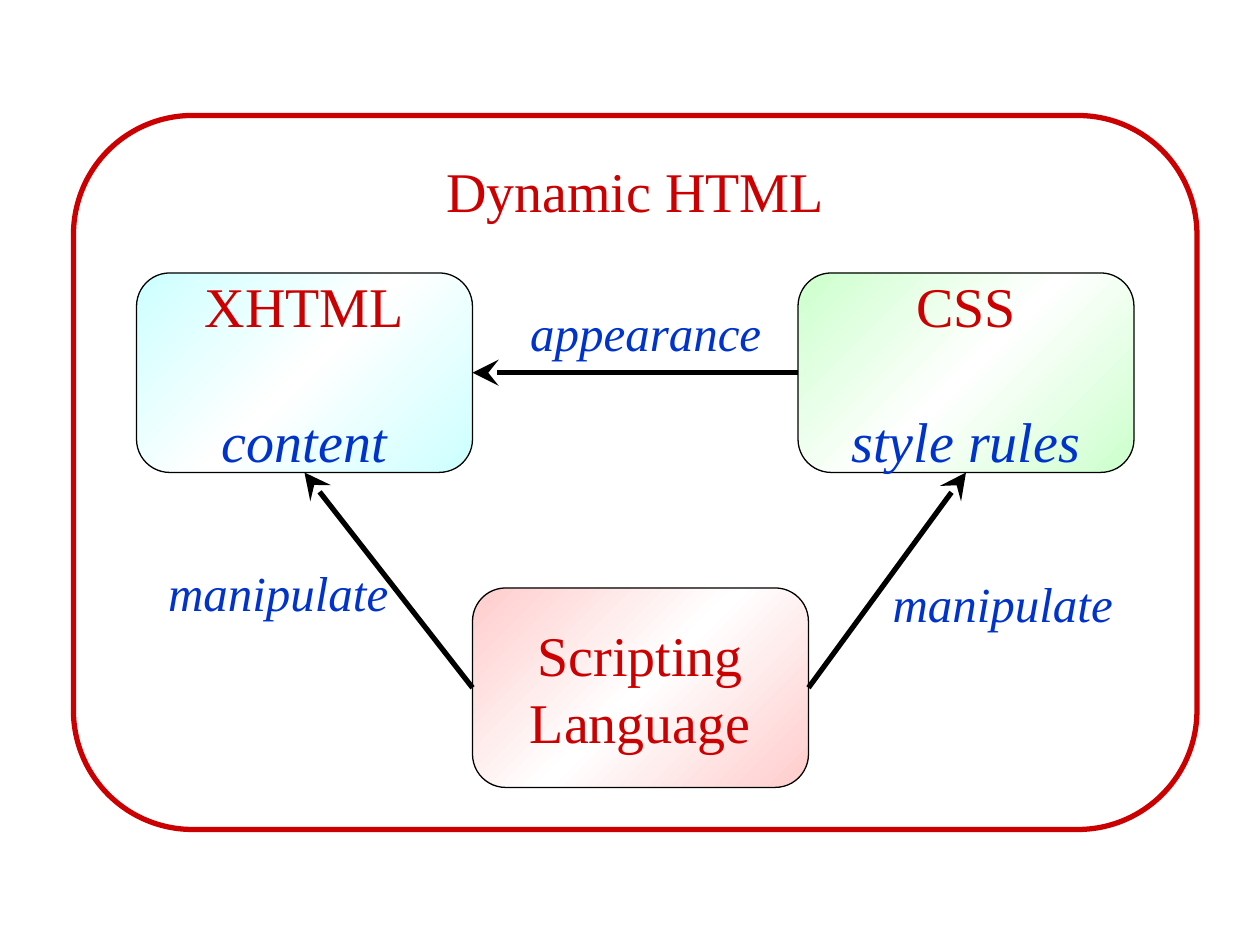
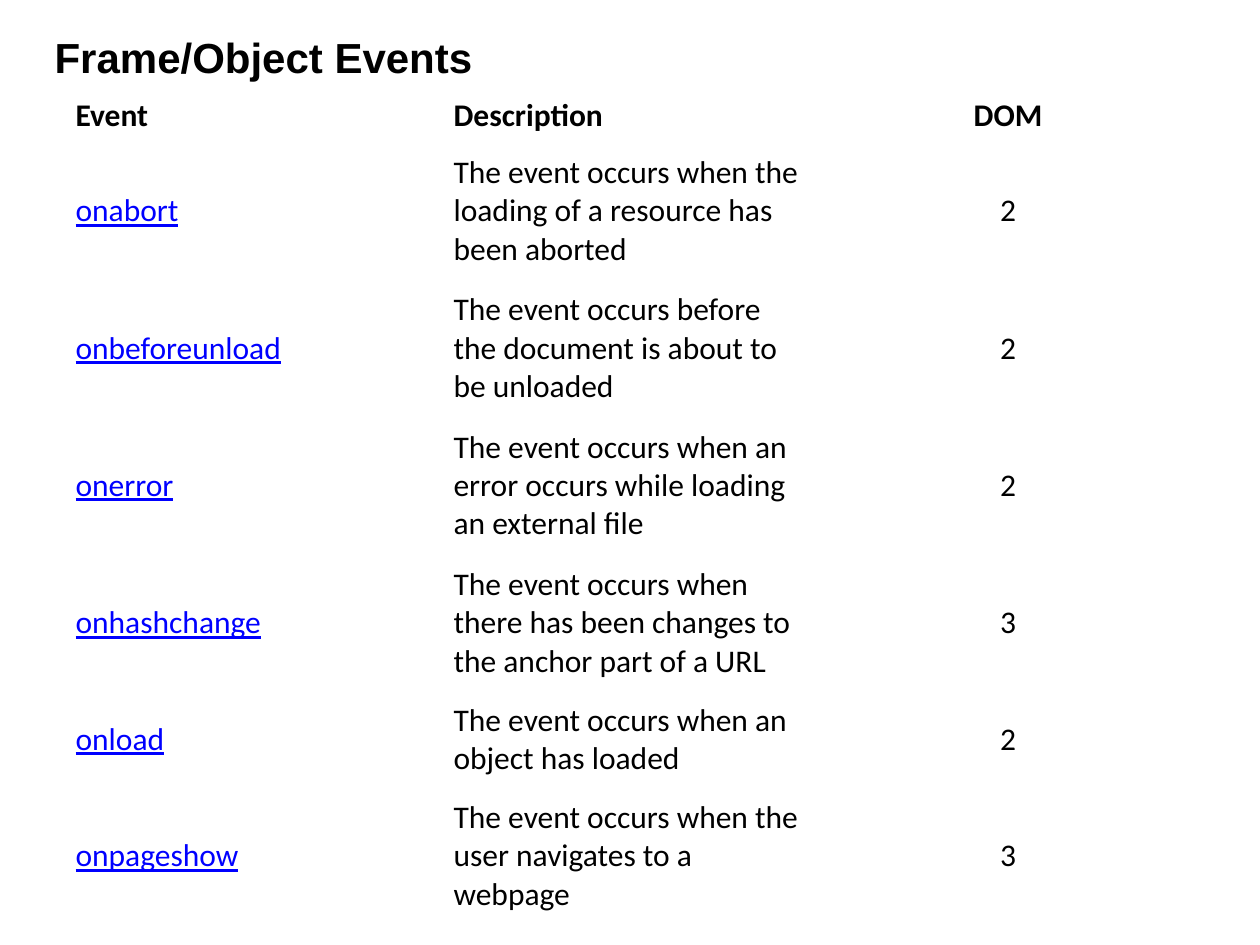
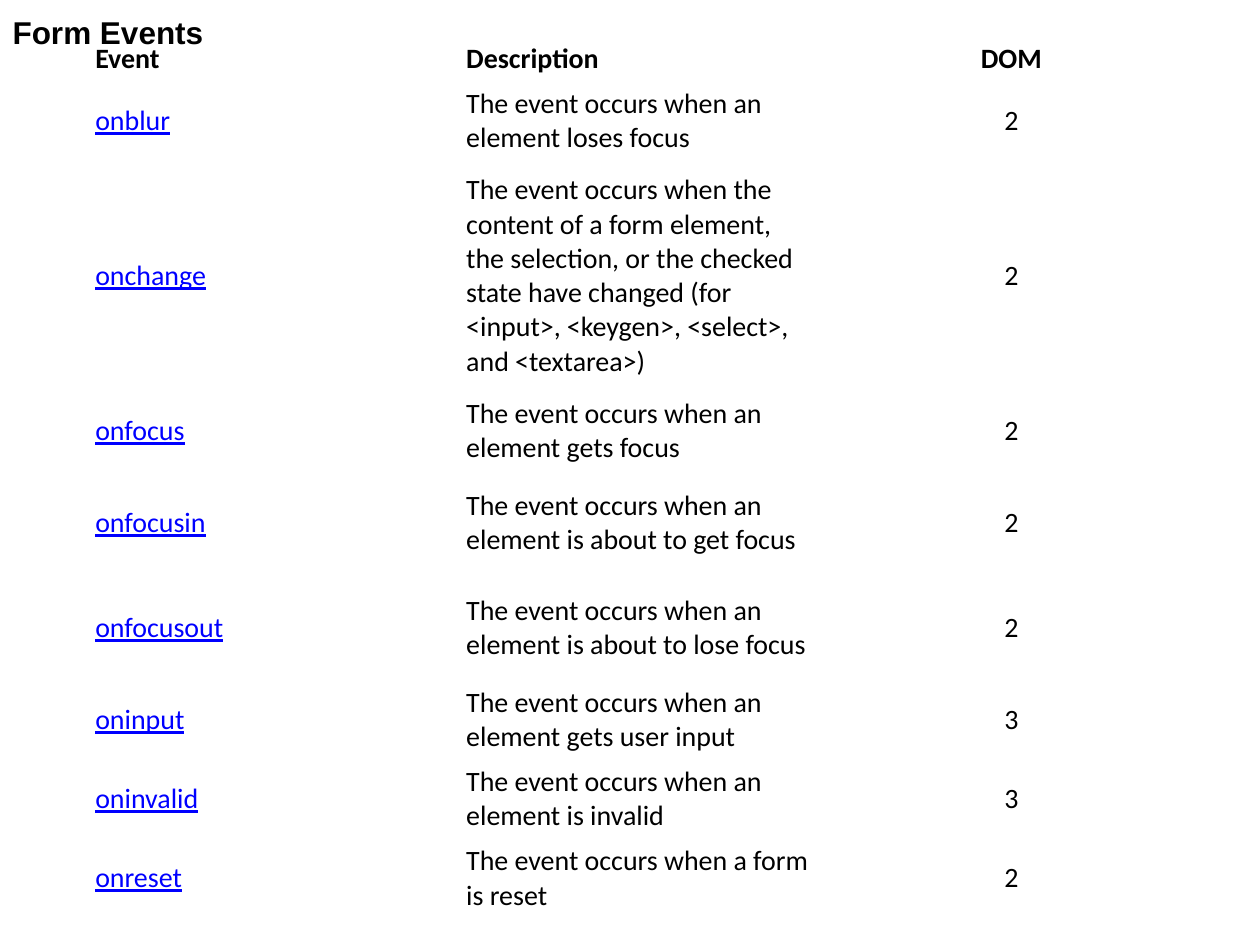
import lxml.etree
import pptx
import pptx.dml.color
import pptx.enum.shapes
import pptx.enum.text
import pptx.oxml.ns
import pptx.util

UNIT = pptx.util.Inches(1) / 12
COLUMNS, ROWS = 120, 90
BLACK, RED, BLUE, LINK = "000000", "CC0000", "0033CC", "0000FF"
NO_GRID_STYLE = "{2D5ABB26-0587-4C30-8999-92F81FD0307C}"
ALIGN = pptx.enum.text.PP_ALIGN
ANCHOR = pptx.enum.text.MSO_ANCHOR
HEADING = {"name": "Times New Roman", "size": pptx.util.Pt(32), "color": RED}
CONTENT = {**HEADING, "color": BLUE, "italic": True}
LABEL = {**CONTENT, "size": pptx.util.Pt(28)}
TITLE = {"name": "Arial", "bold": True, "color": BLACK}
CELL = {"name": "Calibri", "bold": False, "color": BLACK}

FRAME_EVENTS = [
    ("Event", "Description", "DOM"),
    ("onabort", "The event occurs when the loading of a resource has been aborted", "2"),
    ("onbeforeunload", "The event occurs before the document is about to be unloaded", "2"),
    ("onerror", "The event occurs when an error occurs while loading an external file", "2"),
    ("onhashchange", "The event occurs when there has been changes to the anchor part of a URL", "3"),
    ("onload", "The event occurs when an object has loaded", "2"),
    ("onpageshow", "The event occurs when the user navigates to a webpage", "3"),
]
FORM_EVENTS = [
    ("Event", "Description", "DOM"),
    ("onblur", "The event occurs when an element loses focus", "2"),
    ("onchange", "The event occurs when the content of a form element, the selection, or the checked "
     "state have changed (for <input>, <keygen>, <select>, and <textarea>)", "2"),
    ("onfocus", "The event occurs when an element gets focus", "2"),
    ("onfocusin", "The event occurs when an element is about to get focus", "2"),
    ("onfocusout", "The event occurs when an element is about to lose focus", "2"),
    ("oninput", "The event occurs when an element gets user input", "3"),
    ("oninvalid", "The event occurs when an element is invalid", "3"),
    ("onreset", "The event occurs when a form is reset", "2"),
]


def colour(value):
    """Turn a hex string into a colour."""
    return pptx.dml.color.RGBColor.from_string(value)


def grid(*counts):
    """Turn counts of grid columns or rows into lengths."""
    return [pptx.util.Emu(round(count * UNIT)) for count in counts]


def apply(target, values):
    """Set attributes of an object from a dict."""
    for name, value in values.items():
        setattr(target, name, value)


def write(paragraph, text, style, align=ALIGN.LEFT):
    """Put styled text into a paragraph."""
    paragraph.alignment = align
    run = paragraph.add_run()
    run.text = text
    apply(run.font, {name: value for name, value in style.items() if name != "color"})
    run.font.color.rgb = colour(style["color"])


def add_title(slide, text, place, size):
    """Place and fill the slide's title, in front of everything else."""
    title = slide.shapes.title
    apply(title, dict(zip(("left", "top", "width", "height"), grid(*place))))
    apply(title.text_frame, {"word_wrap": True, "vertical_anchor": ANCHOR.MIDDLE,
                             "auto_size": pptx.enum.text.MSO_AUTO_SIZE.SHAPE_TO_FIT_TEXT})
    write(title.text_frame.paragraphs[0], text, {**TITLE, "size": pptx.util.Pt(size)})
    title._element.getparent().append(title._element)


def add_rounded(slide, place, lines, line_color, line_width, anchor, gap=0):
    """Add an outlined rounded rectangle with centred lines of text."""
    shape = slide.shapes.add_shape(pptx.enum.shapes.MSO_SHAPE.ROUNDED_RECTANGLE, *grid(*place))
    shape.shadow.inherit = False
    shape.fill.background()
    shape.line.color.rgb = colour(line_color)
    shape.line.width = pptx.util.Pt(line_width)
    apply(shape.text_frame, {"word_wrap": False, "vertical_anchor": anchor})
    for index, (text, style) in enumerate(lines):
        paragraph = shape.text_frame.add_paragraph() if index else shape.text_frame.paragraphs[0]
        if index:
            paragraph.space_before = pptx.util.Pt(gap)
        write(paragraph, text, style, ALIGN.CENTER)
    return shape


def add_part(slide, left, top, tint, lines, gap=0):
    """Add one part of the diagram with a diagonal tint fading to white."""
    shape = add_rounded(slide, (left, top, 32, 19), lines, BLACK, 0.75, ANCHOR.MIDDLE, gap)
    shape.fill.gradient()
    shape.fill.gradient_angle = 315
    name = pptx.oxml.ns.qn
    stops = shape._element.spPr.find(f"{name('a:gradFill')}/{name('a:gsLst')}")
    stops.clear()
    for position, value in ((0, tint), (50000, "FFFFFF"), (100000, tint)):
        stop = lxml.etree.SubElement(stops, name("a:gs"), pos=str(position))
        lxml.etree.SubElement(stop, name("a:srgbClr"), val=value)
    return shape


def add_arrow(slide, source, source_side, target, target_side):
    """Join two shapes with an arrow."""
    arrow = slide.shapes.add_connector(pptx.enum.shapes.MSO_CONNECTOR.STRAIGHT, 0, 0, 0, 0)
    arrow.begin_connect(source, source_side)
    arrow.end_connect(target, target_side)
    arrow.line.color.rgb = colour(BLACK)
    arrow.line.width = pptx.util.Pt(3)
    properties = arrow._element.spPr
    line = properties.find(pptx.oxml.ns.qn("a:ln"))
    lxml.etree.SubElement(line, pptx.oxml.ns.qn("a:tailEnd"), type="stealth", w="lg", len="lg")
    lxml.etree.SubElement(properties, pptx.oxml.ns.qn("a:effectLst"))


def add_label(slide, text, left, top):
    """Add an arrow's label."""
    box = slide.shapes.add_textbox(*grid(left, top, 25, 6.84))
    box.text_frame.word_wrap = True
    write(box.text_frame.paragraphs[0], text, LABEL, ALIGN.CENTER)


def add_event_table(slide, events, place, heights, size, margins):
    """Add a table of events with equal columns and neither fill nor borders."""
    left, top, width = place
    frame = slide.shapes.add_table(len(events), 3, *grid(left, top, width, sum(heights)))
    table = frame.table
    apply(table, {"first_row": False, "horz_banding": False})
    next(frame._element.iter(pptx.oxml.ns.qn("a:tableStyleId"))).text = NO_GRID_STYLE
    for column in table.columns:
        column.width = grid(width / 3)[0]
    side, edge = (pptx.util.Inches(margin) for margin in margins)
    for row_index, (event, height) in enumerate(zip(events, heights)):
        table.rows[row_index].height = grid(height)[0]
        for column_index, text in enumerate(event):
            cell = table.cell(row_index, column_index)
            cell.fill.background()
            apply(cell, {"vertical_anchor": ANCHOR.MIDDLE, "margin_left": side, "margin_right": side,
                         "margin_top": edge, "margin_bottom": edge})
            style = {**CELL, "size": pptx.util.Pt(size)}
            if row_index == 0:
                style["bold"] = True
            elif column_index == 0:
                style.update(color=LINK, underline=True)
            align = ALIGN.CENTER if column_index == 2 else ALIGN.LEFT
            write(cell.text_frame.paragraphs[0], text, style, align)


def build_diagram(slide):
    """Draw the parts of Dynamic HTML and their relations."""
    add_rounded(slide, (7, 11, 107, 68), [("Dynamic HTML", HEADING)], RED, 3, ANCHOR.TOP)
    markup = add_part(slide, 13, 26, "CCFFFF", [("XHTML", HEADING), ("content", CONTENT)], 39)
    styles = add_part(slide, 76, 26, "CCFFCC", [("CSS", HEADING), ("style rules", CONTENT)], 39)
    script = add_part(slide, 45, 56, "FFCCCC", [("Scripting", HEADING), ("Language", HEADING)])
    add_arrow(slide, styles, 1, markup, 3)
    add_arrow(slide, script, 3, styles, 2)
    add_arrow(slide, script, 1, markup, 2)
    add_label(slide, "appearance", 49, 28.2)
    add_label(slide, "manipulate", 83, 54)
    add_label(slide, "manipulate", 14, 53)


def main():
    """Build and save the presentation."""
    presentation = pptx.Presentation()
    presentation.slide_width, presentation.slide_height = grid(COLUMNS, ROWS)
    title_only, blank = presentation.slide_layouts[5], presentation.slide_layouts[6]
    build_diagram(presentation.slides.add_slide(blank))

    slide = presentation.slides.add_slide(title_only)
    heights = [1.2 + 3.96 * lines for lines in (1, 3, 3, 3, 3, 2, 3)]
    add_event_table(slide, FRAME_EVENTS, (6, 8.4, 108), heights, 18, (0.1, 0.05))
    add_title(slide, "Frame/Object Events", (4, 2.4, 106, 6), 24)

    slide = presentation.slides.add_slide(title_only)
    heights = [4.25, 7.54, 22, 7.54, 10, 10, 7.54, 7.54, 7.54]
    add_event_table(slide, FORM_EVENTS, (8, 3.5, 106), heights, 16, (0.09, 0.04))
    add_title(slide, "Form Events", (0, 0.6, 99, 4.8), 18)
    presentation.save("out.pptx")


if __name__ == "__main__":
    main()
